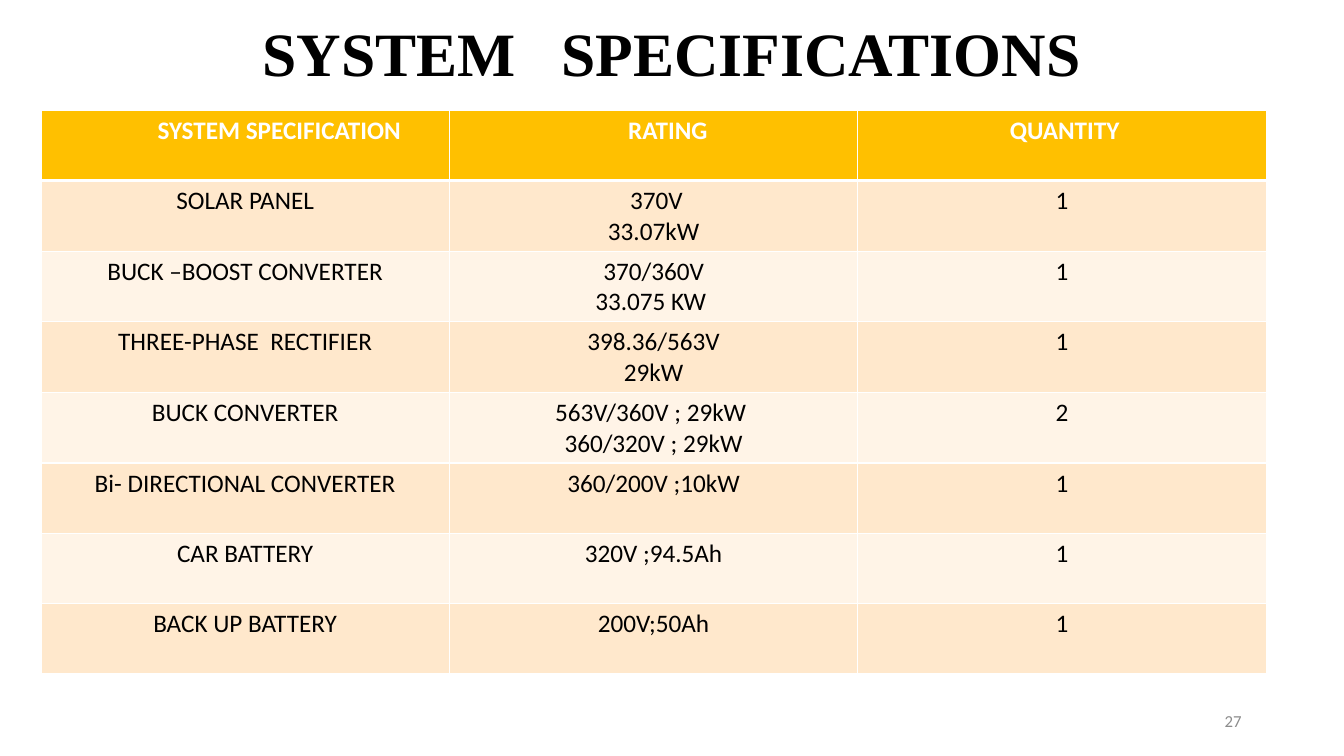
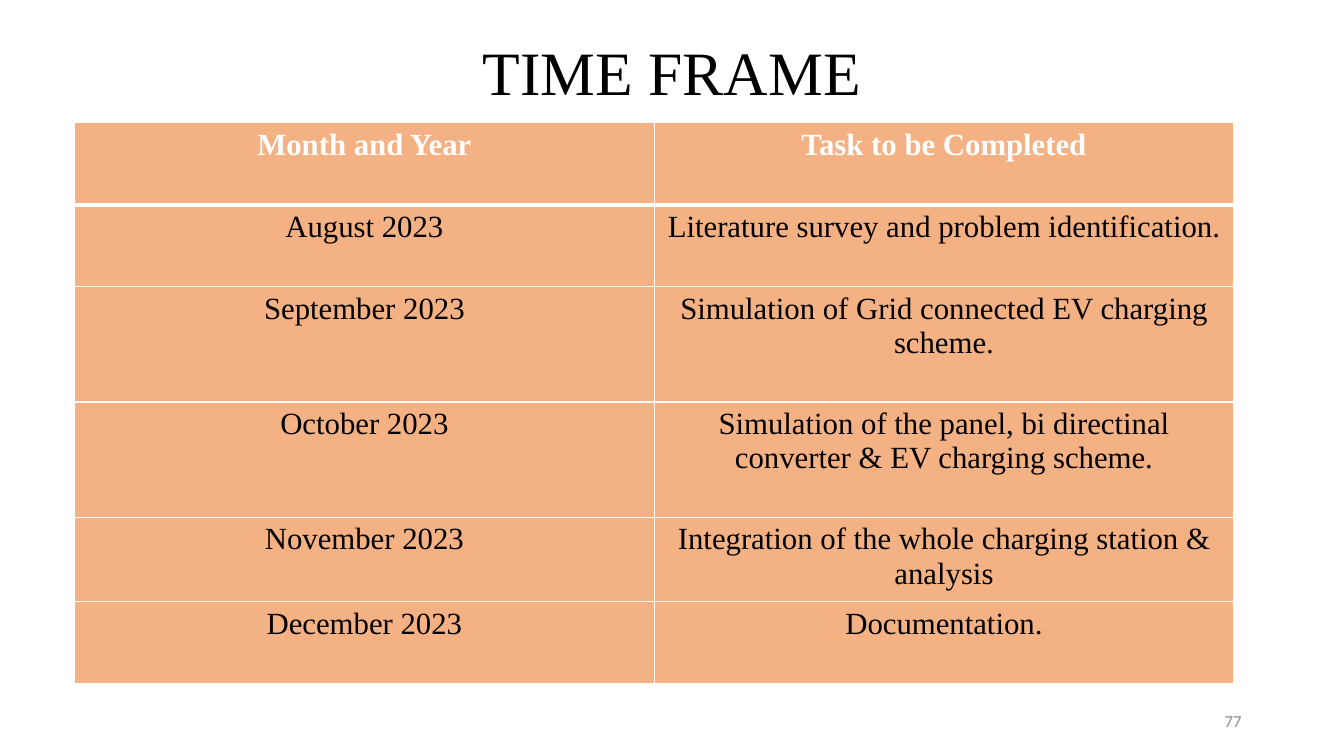
from dataclasses import dataclass

from lxml.etree import SubElement
from pptx import Presentation
from pptx.dml.color import RGBColor
from pptx.enum.text import MSO_ANCHOR, PP_ALIGN
from pptx.oxml.ns import qn
from pptx.util import Emu, Pt

EMU_PER_PX = 9525


def px(length):
    return Emu(length * EMU_PER_PX)


@dataclass(frozen=True)
class Theme:
    ink: str = "000000"
    white: str = "FFFFFF"
    muted: str = "8C8C8C"
    gold: str = "FFC000"
    cream: str = "FFE8CC"
    ivory: str = "FFF4E7"
    apricot: str = "F4B183"
    serif: str = "Times New Roman"
    sans: str = "Calibri"
    title_size: int = 44
    rating_size: int = 18
    schedule_size: int = 22
    number_size: int = 12
    thin_rule: int = 1
    thick_rule: int = 3


class Deck:
    def __init__(self, theme):
        self.theme = theme
        self.presentation = Presentation()
        self.presentation.slide_width = px(1280)
        self.presentation.slide_height = px(720)
        self.slide = None

    def start_slide(self, title, title_height, number, bold=False):
        blank = self.presentation.slide_layouts[6]
        self.slide = self.presentation.slides.add_slide(blank)
        theme = self.theme
        heading = self.text((0, 2, 1280, title_height), title, PP_ALIGN.CENTER,
                            theme.serif, theme.title_size, theme.ink, bold)
        heading.line_spacing = 0.9
        self.text((904, 667, 288, 38), number, PP_ALIGN.RIGHT,
                  theme.sans, theme.number_size, theme.muted)

    def style(self, paragraph, align, face, size, color, bold=False):
        paragraph.alignment = align
        paragraph.font.name = face
        paragraph.font.size = Pt(size)
        paragraph.font.bold = bold
        paragraph.font.color.rgb = RGBColor.from_string(color)

    def text(self, box, wording, align, face, size, color, bold=False):
        frame = self.slide.shapes.add_textbox(*map(px, box)).text_frame
        frame.word_wrap = True
        frame.vertical_anchor = MSO_ANCHOR.MIDDLE
        frame.text = wording
        self.style(frame.paragraphs[0], align, face, size, color, bold)
        return frame.paragraphs[0]

    def table(self, origin, column_width, heights, rows, face, size,
              header_fill, body_fills, header_indents=()):
        theme = self.theme
        columns = len(rows[0])
        table = self.slide.shapes.add_table(
            len(rows), columns, *map(px, origin),
            px(column_width * columns), px(sum(heights))).table
        table.first_row = False
        table.horz_banding = False
        for column in table.columns:
            column.width = px(column_width)
        for index, (height, wordings) in enumerate(zip(heights, rows)):
            table.rows[index].height = px(height)
            is_header = index == 0
            fill = header_fill if is_header else body_fills[(index - 1) % len(body_fills)]
            color = theme.white if is_header else theme.ink
            for cell, wording in zip(table.rows[index].cells, wordings):
                cell.text = wording
                cell.fill.solid()
                cell.fill.fore_color.rgb = RGBColor.from_string(fill)
                for paragraph in cell.text_frame.paragraphs:
                    self.style(paragraph, PP_ALIGN.CENTER, face, size, color, is_header)
                self.borders(cell, index)
        for cell, indent in zip(table.rows[0].cells, header_indents):
            cell.margin_left = cell.margin_left + px(indent)

    def borders(self, cell, row):
        theme = self.theme
        top = theme.thick_rule if row == 1 else theme.thin_rule
        bottom = theme.thick_rule if row == 0 else theme.thin_rule
        sides = {"L": theme.thin_rule, "R": theme.thin_rule, "T": top, "B": bottom}
        properties = cell._tc.get_or_add_tcPr()
        for position, (side, width) in enumerate(sides.items()):
            line = SubElement(properties, qn(f"a:ln{side}"), w=str(Pt(width)))
            solid = SubElement(line, qn("a:solidFill"))
            SubElement(solid, qn("a:srgbClr"), val=theme.white)
            properties.insert(position, line)


SPECIFICATIONS = [
    ("SYSTEM SPECIFICATION", "RATING", "QUANTITY"),
    ("SOLAR PANEL", " 370V\n33.07kW", "1"),
    ("BUCK –BOOST CONVERTER", "370/360V\n33.075 KW ", "1"),
    ("THREE-PHASE  RECTIFIER", "398.36/563V\n29kW", "1"),
    ("BUCK CONVERTER", "563V/360V ; 29kW \n360/320V ; 29kW", "2"),
    ("Bi- DIRECTIONAL CONVERTER", "360/200V ;10kW", "1"),
    ("CAR BATTERY", "320V ;94.5Ah", "1"),
    ("BACK UP BATTERY", "200V;50Ah", "1"),
]

SCHEDULE = [
    ("Month and Year", "Task to be Completed"),
    ("August 2023", "Literature survey and problem identification."),
    ("September 2023", "Simulation of Grid connected EV charging scheme."),
    ("October 2023", "Simulation of the panel, bi directinal converter & EV charging scheme."),
    ("November 2023", "Integration of the whole charging station & analysis"),
    ("December 2023", "Documentation."),
]


def main():
    theme = Theme()
    deck = Deck(theme)

    deck.start_slide("SYSTEM   SPECIFICATIONS", 104, "27", bold=True)
    deck.table((39, 105), 389, [67] * len(SPECIFICATIONS), SPECIFICATIONS,
               theme.sans, theme.rating_size, theme.gold,
               (theme.cream, theme.ivory), header_indents=(65, 27, 5))

    deck.start_slide("TIME FRAME", 139, "77")
    deck.table((71, 117), 552, (78, 78, 110, 110, 78, 78), SCHEDULE,
               theme.serif, theme.schedule_size, theme.apricot, (theme.apricot,))

    deck.presentation.save("out.pptx")


if __name__ == "__main__":
    main()
